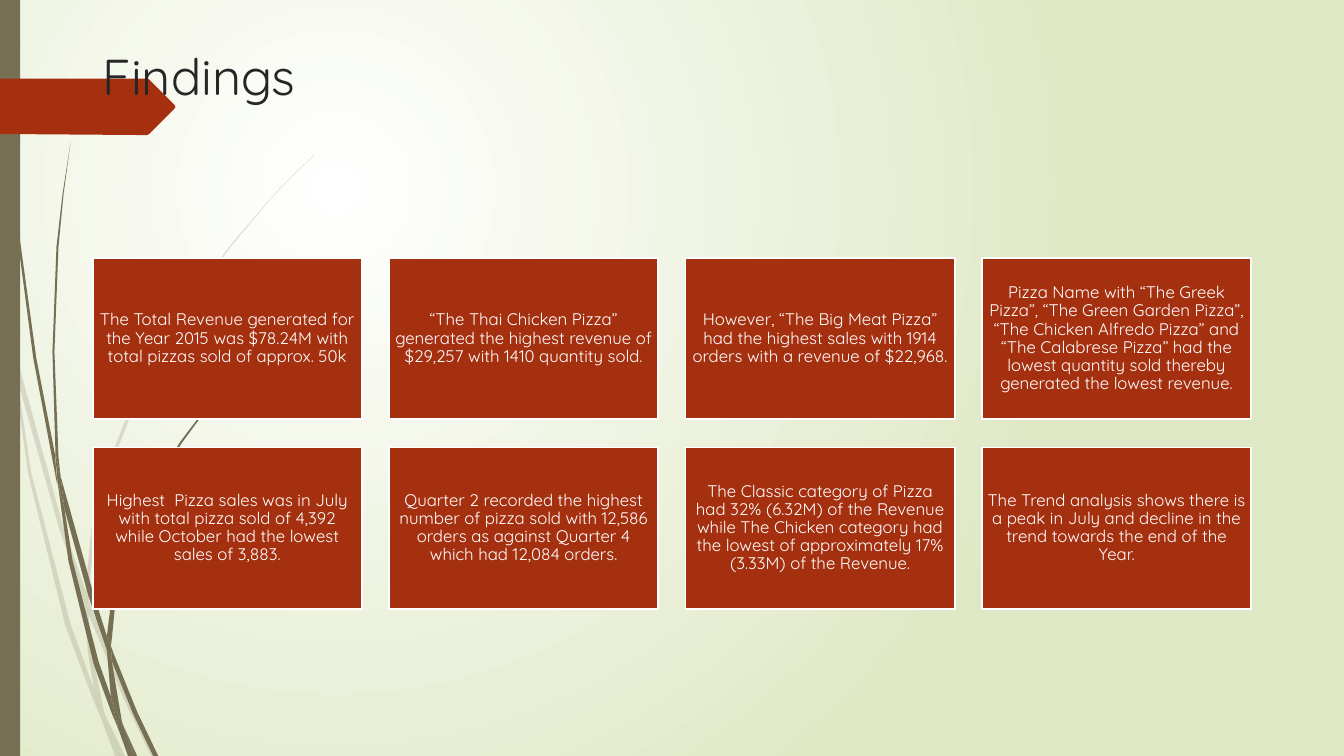
from lxml import etree
from pptx import Presentation
from pptx.dml.color import RGBColor
from pptx.enum.shapes import MSO_SHAPE as Shape
from pptx.enum.text import MSO_ANCHOR as Anchor, PP_ALIGN as Align
from pptx.oxml.ns import qn
from pptx.util import Inches, Pt

OLIVE = RGBColor(0x76, 0x6F, 0x54)
RUST = RGBColor(0xA5, 0x30, 0x10)
WHITE = RGBColor(0xFF, 0xFF, 0xFF)
PALE_GREEN = RGBColor(0xDF, 0xE8, 0xC4)
DARK = RGBColor(0x26, 0x26, 0x26)
FONT = "Quicksand"

TITLE = "Findings"
FINDINGS = [
    "The Total Revenue generated for the Year 2015 was $78.24M with total pizzas sold of approx. 50k",
    "“The Thai Chicken Pizza” generated the highest revenue of $29,257 with 1410 quantity sold.",
    "However, “The Big Meat Pizza” had the highest sales with 1914 orders with a revenue of $22,968.",
    "Pizza Name with “The Greek Pizza”, “The Green Garden Pizza”, “The Chicken Alfredo Pizza” and "
    "“The Calabrese Pizza” had the lowest quantity sold thereby generated the lowest revenue.",
    "Highest  Pizza sales was in July with total pizza sold of 4,392 while October had the lowest sales of 3,883.",
    "Quarter 2 recorded the highest number of pizza sold with 12,586 orders as against Quarter 4 "
    "which had 12,084 orders.",
    "The Classic category of Pizza had 32% (6.32M) of the Revenue while The Chicken category had "
    "the lowest of approximately 17% (3.33M) of the Revenue.",
    "The Trend analysis shows there is a peak in July and decline in the trend towards the end of the Year.",
]

FAINT_BLADES = [
    [(0.11, 3.5), (0.09, 3.22), (0, 2.82), (0, 2.99), (0.1, 3.44)],
    [(0.58, 5.22), (0.84, 5.99), (0.85, 5.86), (0.62, 5.2), (0.14, 3.45), (0.17, 3.76)],
    [(0.92, 6.07), (0.88, 5.96), (0.88, 6.1), (1.23, 6.94), (1.5, 7.5), (1.55, 7.5), (1.27, 6.92)],
    [(1.19, 7.5), (1.24, 7.5), (1.05, 7.11)],
    [(0.93, 6.83), (0.7, 6.19), (0.31, 4.69), (0.17, 3.76), (0.11, 3.5), (0.28, 4.7),
     (0.65, 6.21), (0.92, 6.93), (1.01, 7.14), (0.99, 7.07)],
    [(0.84, 5.99), (0.87, 6.46), (0.93, 6.83), (0.96, 6.92), (1.05, 7.11), (1.03, 7.06),
     (0.91, 6.46), (0.88, 6.1), (0.88, 6.08)],
    [(0.88, 5.84), (0.95, 5.22), (1.1, 4.62), (1.33, 4.04), (1.6, 3.49), (1.93, 2.95),
     (2.29, 2.45), (2.68, 1.98), (2.9, 1.75), (3.12, 1.54), (3.12, 1.53), (2.89, 1.75),
     (2.68, 1.97), (2.28, 2.44), (1.91, 2.94), (1.58, 3.48), (1.3, 4.03), (1.07, 4.61),
     (0.91, 5.22), (0.85, 5.84), (0.85, 5.86), (0.88, 5.96)],
    [(1.01, 7.14), (1.14, 7.5), (1.19, 7.5)],
    [(0.88, 6.08), (0.88, 6.1), (0.88, 5.96), (0.85, 5.86), (0.84, 5.99)],
    [(0.96, 6.92), (0.93, 6.83), (0.99, 7.07), (1.01, 7.14), (1.19, 7.5), (1.05, 7.11)],
]
SOLID_BLADES = [
    [(0.07, 1.1), (0.17, 2.33), (0.33, 3.55), (0.56, 4.77), (0.57, 4.81), (0.55, 4.57),
     (0.55, 4.53), (0.36, 3.55), (0.19, 2.32), (0.08, 1.09), (0.05, 0.48), (0.04, 0),
     (0.03, 0), (0.04, 0.48)],
    [(0.88, 5.92), (1.06, 6.45), (1.06, 6.33), (1.06, 6.31), (0.93, 5.9), (0.6, 4.72), (0.64, 5.05)],
    [(1.13, 6.49), (1.1, 6.41), (1.11, 6.56), (1.32, 7.08), (1.52, 7.5), (1.57, 7.5), (1.36, 7.06)],
    [(1.1, 6.91), (0.98, 6.57), (0.72, 5.56), (0.64, 5.05), (0.57, 4.77), (0.68, 5.57),
     (0.93, 6.59), (1.11, 7.08), (1.17, 7.22), (1.16, 7.17)],
    [(0.6, 4.72), (0.58, 4.53), (0.54, 3.49), (0.58, 2.45), (0.63, 1.93), (0.7, 1.41),
     (0.62, 1.93), (0.56, 2.45), (0.52, 3.49), (0.55, 4.49)],
    [(1.33, 7.5), (1.36, 7.5), (1.22, 7.19)],
    [(0.57, 4.77), (0.64, 5.05), (0.6, 4.72), (0.55, 4.49), (0.55, 4.53)],
    [(1.11, 6.33), (1.15, 5.92), (1.25, 5.52), (1.39, 5.13), (1.58, 4.76), (1.8, 4.4),
     (2.05, 4.06), (2.31, 3.74), (2.45, 3.59), (2.61, 3.44), (2.6, 3.44), (2.45, 3.58),
     (2.31, 3.73), (2.04, 4.05), (1.79, 4.38), (1.56, 4.74), (1.37, 5.12), (1.22, 5.51),
     (1.11, 5.91), (1.06, 6.31), (1.1, 6.41)],
    [(1.17, 7.22), (1.27, 7.5), (1.31, 7.5)],
    [(1.06, 6.45), (1.1, 6.91), (1.16, 7.06), (1.22, 7.19), (1.21, 7.16), (1.11, 6.56), (1.09, 6.51)],
    [(1.06, 6.45), (1.09, 6.51), (1.11, 6.56), (1.1, 6.41), (1.06, 6.31), (1.06, 6.33)],
    [(1.16, 7.06), (1.1, 6.91), (1.16, 7.17), (1.17, 7.22), (1.3, 7.5), (1.33, 7.5), (1.22, 7.19)],
]
BANNER = [(0, 0.78), (1.46, 0.78), (1.48, 0.79), (1.73, 1.04), (1.74, 1.06), (1.73, 1.08),
          (1.48, 1.33), (1.46, 1.34), (1.36, 1.34), (0, 1.33)]

COLUMNS = 4
CARD_LEFT, CARD_TOP = 0.92, 2.56
CARD_WIDTH, CARD_HEIGHT = 2.67, 1.6
COLUMN_STEP, ROW_STEP = 2.94, 1.88


def paint(shape, color):
    shape.shadow.inherit = False
    shape.fill.solid()
    shape.fill.fore_color.rgb = color
    shape.line.fill.background()


def add_outline(page, points, color, opacity=100):
    corners = [(Inches(x), Inches(y)) for x, y in points]
    builder = page.shapes.build_freeform(*corners[0])
    builder.add_line_segments(corners[1:], close=True)
    shape = builder.convert_to_shape()
    paint(shape, color)
    if opacity < 100:
        tone = shape.element.spPr.find(qn("a:solidFill"))[0]
        etree.SubElement(tone, qn("a:alpha"), val=str(opacity * 1000))


def write(frame, text, size, color):
    frame.word_wrap = True
    frame.text = text
    para = frame.paragraphs[0]
    font = para.runs[0].font
    font.name, font.size, font.color.rgb = FONT, Pt(size), color
    return para


def add_background(page):
    fill = page.background.fill
    fill.gradient()
    for stop, color in zip(fill.gradient_stops, (WHITE, PALE_GREEN)):
        stop.color.rgb = color
    gradient = page.element.find(".//" + qn("a:gradFill"))
    gradient.remove(gradient.find(qn("a:lin")))
    circle = etree.SubElement(gradient, qn("a:path"), {"path": "circle"})
    etree.SubElement(circle, qn("a:fillToRect"), l="50000", t="50000", r="100000", b="100000")


def add_card(page, index, text):
    row, column = divmod(index, COLUMNS)
    card = page.shapes.add_shape(
        Shape.RECTANGLE, Inches(CARD_LEFT + column * COLUMN_STEP), Inches(CARD_TOP + row * ROW_STEP),
        Inches(CARD_WIDTH), Inches(CARD_HEIGHT))
    paint(card, RUST)
    card.line.color.rgb = WHITE
    card.line.width = Pt(1.25)
    frame = card.text_frame
    frame.margin_left = frame.margin_right = frame.margin_top = frame.margin_bottom = Inches(0.05)
    frame.vertical_anchor = Anchor.MIDDLE
    para = write(frame, text, 12, WHITE)
    para.alignment = Align.CENTER
    para.line_spacing = 0.9


def main():
    deck = Presentation()
    deck.slide_width, deck.slide_height = Inches(13.33), Inches(7.5)
    page = deck.slides.add_slide(deck.slide_layouts[6])
    add_background(page)
    for blades, opacity in ((FAINT_BLADES, 20), (SOLID_BLADES, 100)):
        for blade in blades:
            add_outline(page, blade, OLIVE, opacity)
    paint(page.shapes.add_shape(Shape.RECTANGLE, 0, 0, Inches(0.2), Inches(7.5)), OLIVE)
    add_outline(page, BANNER, RUST)
    box = page.shapes.add_textbox(Inches(0.92), Inches(0.4), Inches(11.5), Inches(1.27))
    write(box.text_frame, TITLE, 36, DARK)
    for index, text in enumerate(FINDINGS):
        add_card(page, index, text)
    deck.save("out.pptx")


if __name__ == "__main__":
    main()
